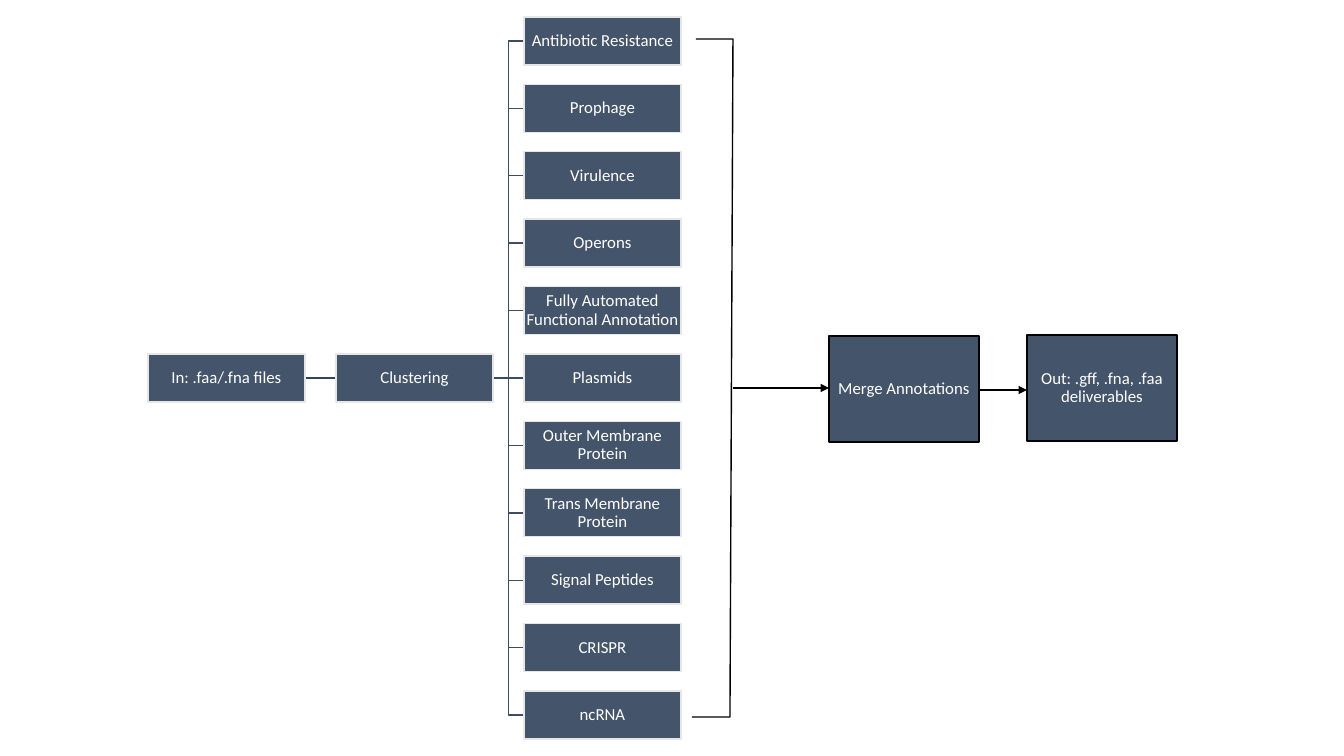
from lxml import etree
from pptx import Presentation
from pptx.dml.color import RGBColor
from pptx.enum.shapes import MSO_CONNECTOR, MSO_SHAPE
from pptx.enum.text import MSO_ANCHOR, PP_ALIGN
from pptx.oxml.ns import qn
from pptx.util import Emu, Pt

RECTANGLE = MSO_SHAPE.RECTANGLE
STRAIGHT = MSO_CONNECTOR.STRAIGHT
MIDDLE = MSO_ANCHOR.MIDDLE
CENTER = PP_ALIGN.CENTER

SLATE = RGBColor(0x44, 0x54, 0x6A)
BRANCH_LINE = RGBColor(0x3E, 0x4C, 0x60)
INPUT_LINE = RGBColor(0x36, 0x43, 0x55)
PALE_GRAY = RGBColor(0xE7, 0xE6, 0xE6)
BLACK = RGBColor(0, 0, 0)
WHITE = RGBColor(255, 255, 255)

EMU_PER_PX = 914400 / 100.8
BLANK_LAYOUT = 6
BOX_WIDTH, BOX_HEIGHT, COLUMN_GAP = 157, 48, 31

ANNOTATIONS = [
    "Antibiotic Resistance",
    "Prophage",
    "Virulence",
    "Operons",
    "Fully Automated Functional Annotation",
    "Plasmids",
    "Outer Membrane Protein",
    "Trans Membrane Protein",
    "Signal Peptides",
    "CRISPR",
    "ncRNA",
]


def px(length):
    """Convert pixels to EMU."""
    return Emu(round(length * EMU_PER_PX))


def add_box(slide, text, left, top, width, height, outline):
    """Add a slate box with centred white text."""
    shape = slide.shapes.add_shape(RECTANGLE, px(left), px(top), px(width), px(height))
    shape.shadow.inherit = False
    shape.fill.solid()
    shape.fill.fore_color.rgb = SLATE
    shape.line.color.rgb = outline
    shape.line.width = Pt(1)
    frame = shape.text_frame
    frame.word_wrap = True
    frame.vertical_anchor = MIDDLE
    frame.margin_left = frame.margin_right = px(1)
    frame.margin_top = frame.margin_bottom = px(1)
    paragraph = frame.paragraphs[0]
    paragraph.alignment = CENTER
    paragraph.line_spacing = 0.9
    run = paragraph.add_run()
    run.text = text
    run.font.name = "Calibri"
    run.font.size = Pt(12)
    run.font.color.rgb = WHITE


def add_line(slide, start, end, color, arrow=False):
    """Add a straight line, with an arrowhead at its end if asked."""
    line = slide.shapes.add_connector(STRAIGHT, *map(px, start + end))
    line.line.color.rgb = color
    line.line.width = Pt(1)
    properties = line._element.spPr
    if arrow:
        etree.SubElement(line.line._get_or_add_ln(), qn("a:tailEnd"), type="triangle")
    etree.SubElement(properties, qn("a:effectLst"))


def add_open_path(slide, points, color):
    """Add an unfilled line through the points."""
    start, *others = [tuple(map(px, point)) for point in points]
    builder = slide.shapes.build_freeform(*start)
    builder.add_line_segments(others, close=False)
    shape = builder.convert_to_shape()
    shape.shadow.inherit = False
    shape.fill.background()
    shape.line.color.rgb = color
    shape.line.width = Pt(1)


def add_annotation_tree(slide, left, top, height):
    """Draw the input, the clustering step and its annotation branches."""
    input_left, cluster_left, branch_left = [
        left + column * (BOX_WIDTH + COLUMN_GAP) for column in range(3)
    ]
    pitch = (height - BOX_HEIGHT) / (len(ANNOTATIONS) - 1)
    tops = [top + row * pitch for row in range(len(ANNOTATIONS))]
    root_top = tops[len(tops) // 2]
    root_y = root_top + BOX_HEIGHT / 2
    cluster_right = cluster_left + BOX_WIDTH
    trunk_x = cluster_right + COLUMN_GAP / 2

    for branch_top in reversed(tops):
        branch_y = branch_top + BOX_HEIGHT / 2
        start, end = (cluster_right, root_y), (branch_left, branch_y)
        if branch_top == root_top:
            add_line(slide, start, end, BRANCH_LINE)
        else:
            bends = [(trunk_x, root_y), (trunk_x, branch_y)]
            add_open_path(slide, [start, *bends, end], BRANCH_LINE)
    add_line(slide, (input_left + BOX_WIDTH, root_y), (cluster_left, root_y), INPUT_LINE)

    boxes = [
        ("In: .faa/.fna files", input_left, root_top),
        ("Clustering", cluster_left, root_top),
    ]
    boxes += [(text, branch_left, y) for text, y in zip(ANNOTATIONS, tops)]
    for text, box_left, box_top in boxes:
        add_box(slide, text, box_left, box_top, BOX_WIDTH, BOX_HEIGHT, PALE_GRAY)


def add_merge_flow(slide, left, top, height):
    """Draw the bracket, the merge step and the deliverables."""
    bracket_x = left + 41
    merge_left, output_left = left + 137, left + 335
    box_width, box_height = 150, 106
    box_top = top + 297
    arrow_y = box_top + 52

    add_box(slide, "Merge Annotations", merge_left, box_top,
            box_width, box_height, BLACK)
    add_box(slide, "Out: .gff, .fna, .faa deliverables", output_left, box_top - 1,
            box_width, box_height, BLACK)
    add_line(slide, (bracket_x, arrow_y), (merge_left, arrow_y), BLACK, arrow=True)
    add_line(slide, (merge_left + box_width, arrow_y + 2), (output_left, arrow_y + 2),
             BLACK, arrow=True)
    bottom = top + height
    bracket = [(left + 4, top), (bracket_x, top), (bracket_x - 3, bottom), (left, bottom)]
    add_open_path(slide, bracket, BLACK)


def main():
    """Build and save the annotation pipeline slide."""
    presentation = Presentation()
    presentation.slide_width = px(1344)
    presentation.slide_height = px(756)
    slide = presentation.slides.add_slide(presentation.slide_layouts[BLANK_LAYOUT])
    add_annotation_tree(slide, left=148, top=17, height=722)
    add_merge_flow(slide, left=692, top=39, height=678)
    presentation.save("out.pptx")


if __name__ == "__main__":
    main()
